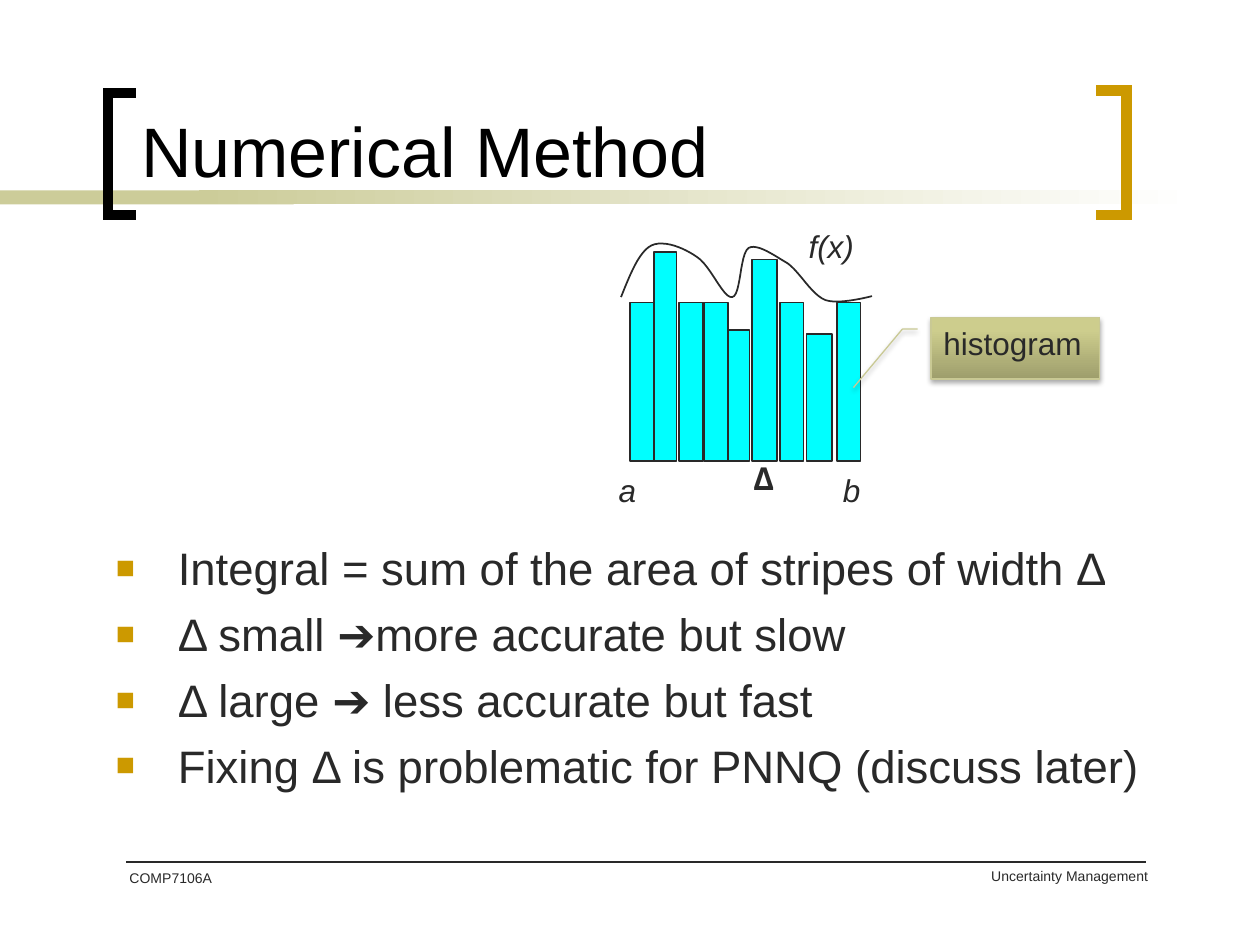
from lxml import etree
from pptx import Presentation
from pptx import util as u
from pptx.dml import color
from pptx.enum import shapes, text
from pptx.oxml import ns

INK, KHAKI, GOLD, CYAN = "292929", "CCCC99", "CC9900", "00FFFF"


def rgb(value):
    return color.RGBColor.from_string(value)


def add_xml(parent, tag, **attrs):
    return etree.SubElement(parent, ns.qn(tag), **attrs)


def put_text(p, content, size=18, font="Arial", ink=INK, bold=False, italic=False, align=text.PP_ALIGN.LEFT):
    p.alignment = align
    r = p.add_run()
    r.text = content
    r.font.size, r.font.name = u.Pt(size), font
    r.font.bold, r.font.italic = bold, italic
    r.font.color.rgb = rgb(ink)


def bezier(start, segments, steps=12):
    points = [start]
    for c1, c2, end in segments:
        first = points[-1]
        for i in range(1, steps + 1):
            t = i / steps
            weights = ((1 - t) ** 3, 3 * t * (1 - t) ** 2, 3 * t * t * (1 - t), t ** 3)
            points.append(tuple(
                sum(w * q[axis] for w, q in zip(weights, (first, c1, c2, end)))
                for axis in (0, 1)))
    return points


class Deck:
    def __init__(self, width, height):
        self.prs = Presentation()
        self.prs.slide_width, self.prs.slide_height = u.Cm(width), u.Cm(height)
        self.s = self.prs.slides.add_slide(self.prs.slide_layouts[1])

    def place(self, sp, box):
        sp.left, sp.top, sp.width, sp.height = map(u.Cm, box)

    def stroke(self, sp, ink, weight):
        sp.line.color.rgb = rgb(ink)
        sp.line.width = u.Pt(weight)

    def shape(self, kind, box, fill, line=None, weight=1, angle=0):
        sp = self.s.shapes.add_shape(kind, *map(u.Cm, box))
        sp.shadow.inherit = False
        if isinstance(fill, str):
            sp.fill.solid()
            sp.fill.fore_color.rgb = rgb(fill)
        else:
            sp.fill.gradient()
            sp.fill.gradient_angle = angle
            for stop, (position, value) in zip(sp.fill.gradient_stops, fill):
                stop.position = position
                stop.color.rgb = rgb(value)
        if line:
            self.stroke(sp, line, weight)
        else:
            sp.line.fill.background()
        return sp

    def path_line(self, points, ink, weight):
        pts = [(u.Cm(x), u.Cm(y)) for x, y in points]
        builder = self.s.shapes.build_freeform(*pts[0])
        builder.add_line_segments(pts[1:], close=False)
        sp = builder.convert_to_shape()
        sp.shadow.inherit = False
        sp.fill.background()
        self.stroke(sp, ink, weight)
        add_xml(sp._element.spPr.find(ns.qn("a:ln")), "a:miter", lim="800000")

    def rule(self, x1, y1, x2, y2):
        sp = self.s.shapes.add_connector(shapes.MSO_CONNECTOR.STRAIGHT, *map(u.Cm, (x1, y1, x2, y2)))
        self.stroke(sp, INK, 1)
        add_xml(sp._element.spPr, "a:effectLst")

    def label(self, content, box, wrap=False, **style):
        tf = self.s.shapes.add_textbox(*map(u.Cm, box)).text_frame
        tf.word_wrap = wrap
        put_text(tf.paragraphs[0], content, **style)

    def title(self, content, box):
        sp = self.s.shapes.title
        self.place(sp, box)
        tf = sp.text_frame
        tf.auto_size = text.MSO_AUTO_SIZE.NONE
        tf.vertical_anchor = text.MSO_ANCHOR.BOTTOM
        put_text(tf.paragraphs[0], content, size=40, ink="000000")

    def bullets(self, items, box):
        sp = self.s.placeholders[1]
        self.place(sp, box)
        tf = sp.text_frame
        tf.auto_size = text.MSO_AUTO_SIZE.NONE
        tf.margin_top = u.Cm(0.2)
        for i, item in enumerate(items):
            p = tf.add_paragraph() if i else tf.paragraphs[0]
            p.space_before = u.Pt(6.4 if i else 0)
            pPr = p._p.get_or_add_pPr()
            pPr.set("marL", str(u.Cm(1.25)))
            pPr.set("indent", str(-u.Cm(1.25)))
            add_xml(add_xml(pPr, "a:buClr"), "a:srgbClr", val=GOLD)
            add_xml(pPr, "a:buSzPct", val="70000")
            add_xml(pPr, "a:buFont", typeface="Arial")
            add_xml(pPr, "a:buChar", char="■")
            put_text(p, item, size=26)

    def callout(self, content, box, leader):
        sp = self.shape(shapes.MSO_SHAPE.LINE_CALLOUT_2, box,
                        [(0, "9E9E6C"), (0.8, "CDCD8D")], "C9C994", 0.75, angle=90)
        for i, value in enumerate(leader):
            sp.adjustments[i] = value
        effects = sp._element.spPr.find(ns.qn("a:effectLst"))
        shadow = add_xml(effects, "a:outerShdw", blurRad=str(u.Pt(3.1)), dist=str(u.Pt(1.8)),
                         dir="5400000", rotWithShape="0")
        add_xml(add_xml(shadow, "a:srgbClr", val="000000"), "a:alpha", val="35000")
        tf = sp.text_frame
        tf.vertical_anchor = text.MSO_ANCHOR.TOP
        put_text(tf.paragraphs[0], content)


def main():
    deck = Deck(25.4, 19.05)
    rect = shapes.MSO_SHAPE.RECTANGLE

    deck.shape(rect, (0, 3.84, 5.92, 0.28), KHAKI)
    deck.shape(rect, (4.01, 3.84, 20.12, 0.28), [(0, KHAKI), (1, "FFFFFF")])
    for tip, side, top, ink in ((2.74, 2.18, 1.88, "000000"), (22.1, 22.71, 1.83, GOLD)):
        deck.path_line([(tip, top), (side, top), (side, 4.34), (tip, 4.34)], ink, 6)

    deck.label("Uncertainty Management", (12.88, 17.37, 10.52, 1.27), wrap=True,
               size=8, align=text.PP_ALIGN.RIGHT)
    deck.rule(2.54, 17.37, 23.11, 17.37)
    deck.label("COMP7106A", (2.36, 17.4, 2.97, 1.27), wrap=True, size=8)

    deck.title("Numerical Method", (2.59, 0.05, 19.89, 3.94))
    deck.bullets([
        "Integral = sum of the area of stripes of width Δ",
        "Δ small ➔more accurate but slow",
        "Δ large ➔ less accurate but fast",
        "Fixing Δ is problematic for PNNQ (discuss later)",
    ], (2.08, 10.69, 21.56, 6.07))

    base = 9.3
    bars = [(12.7, 0.48, 6.1), (13.18, 0.46, 5.08), (13.69, 0.48, 6.1),
            (14.2, 0.48, 6.1), (14.68, 0.43, 6.65), (15.16, 0.51, 5.23),
            (15.72, 0.48, 6.1), (16.26, 0.51, 6.73), (16.87, 0.48, 6.1)]
    for left, width, top in bars:
        deck.shape(rect, (left, top, width, base - top), CYAN, INK)

    deck.label("Δ", (14.94, 9.12, 0.99, 1.02), font="Noto Sans", bold=True)
    for name, left, top, width in (("a", 12.22, 9.37, 1.02), ("b", 16.74, 9.37, 1.02),
                                   ("f(x)", 16.05, 4.45, 1.6)):
        deck.label(name, (left, top, width, 1.02), italic=True)

    deck.path_line(bezier((12.52, 5.99), [
        ((12.7, 5.54), (12.88, 5.08), (13.13, 4.95)),
        ((13.39, 4.83), (13.79, 5), (14.05, 5.18)),
        ((14.33, 5.36), (14.58, 6.02), (14.76, 5.99)),
        ((14.94, 5.97), (14.91, 5.13), (15.09, 5)),
        ((15.27, 4.9), (15.62, 5.16), (15.88, 5.31)),
        ((16.13, 5.49), (16.36, 5.94), (16.64, 6.05)),
        ((16.92, 6.15), (17.58, 5.97), (17.58, 5.97)),
    ]), INK, 1)
    deck.callout("histogram", (18.77, 6.4, 3.4, 1.24), (0.19, -0.08, 0.19, -0.17, 1.14, -0.46))

    deck.prs.save("out.pptx")


if __name__ == "__main__":
    main()
